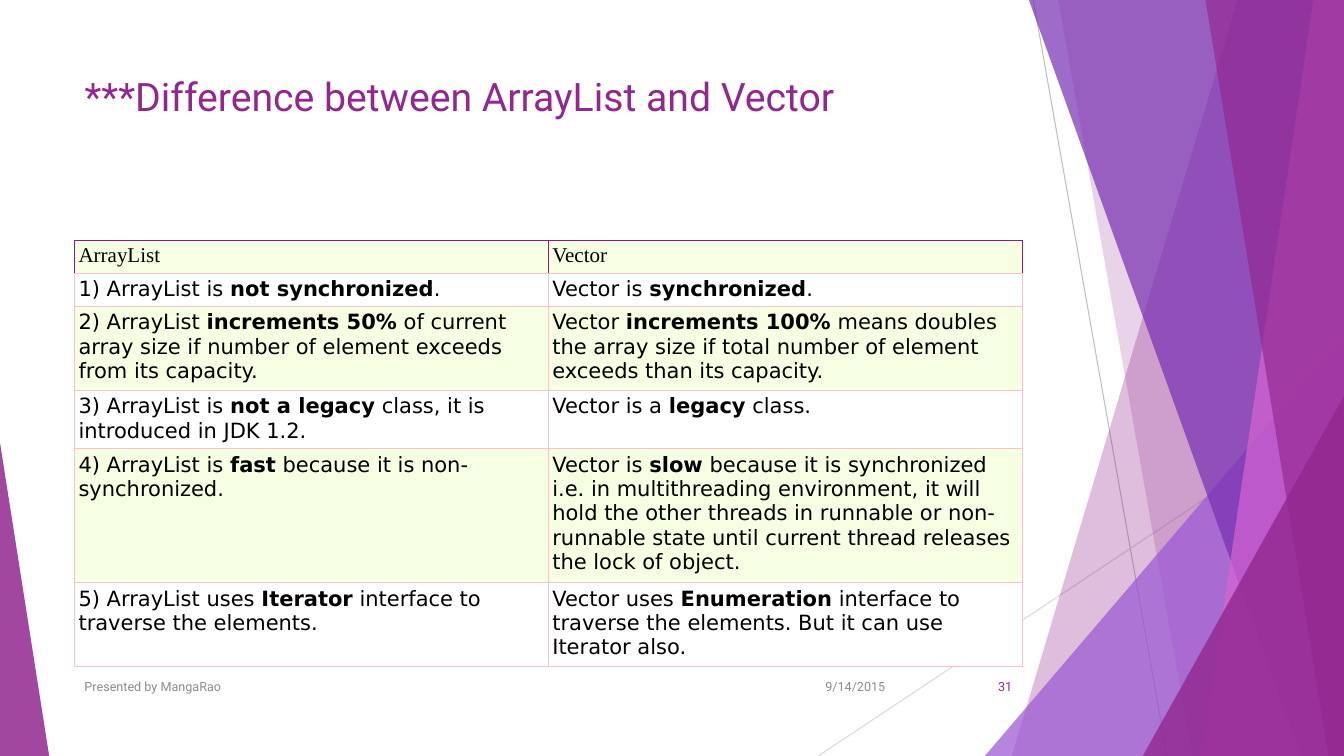
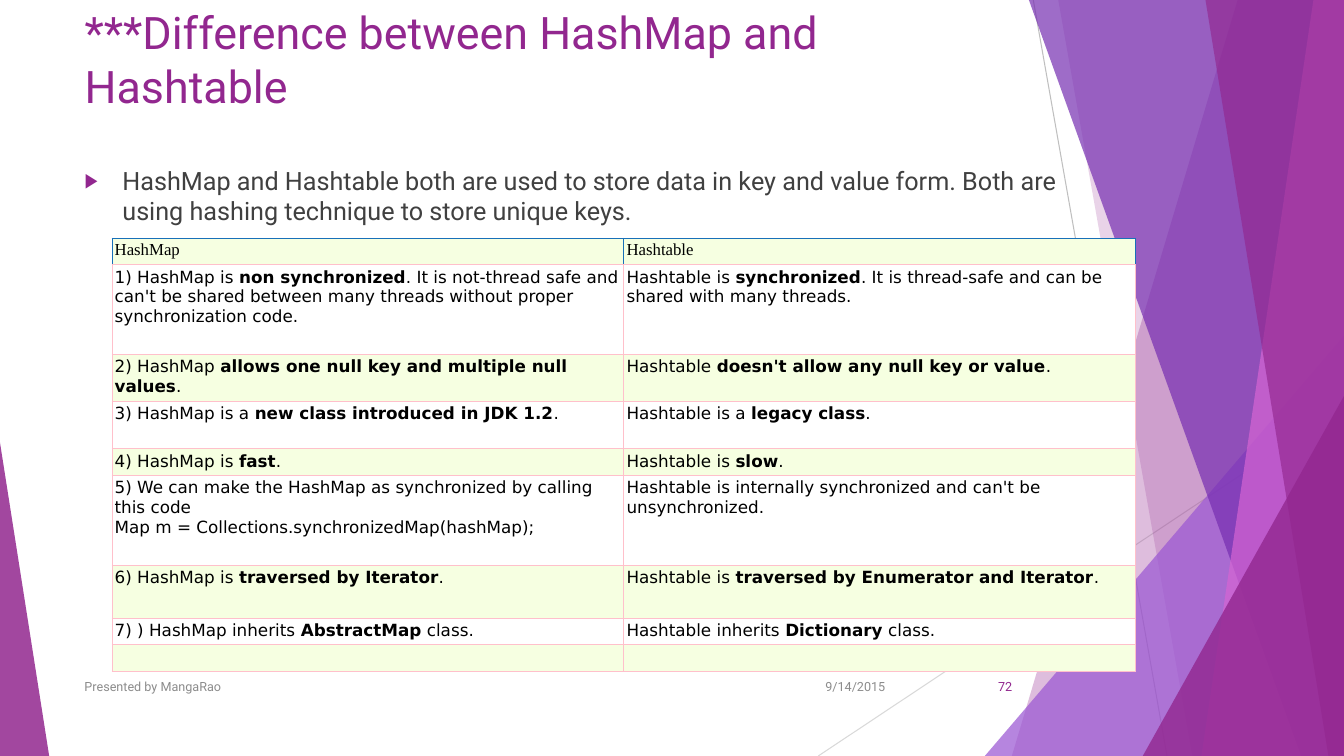
"""Build two comparison slides on Java collection classes."""
import lxml.etree
import pptx
import pptx.dml.color
import pptx.enum.shapes
import pptx.enum.text
import pptx.oxml.ns
import pptx.util

Cm = pptx.util.Cm
Pt = pptx.util.Pt
qn = pptx.oxml.ns.qn
ALIGN = pptx.enum.text.PP_ALIGN
ANCHOR = pptx.enum.text.MSO_ANCHOR

COLOURS = {
    "purple": "92278F", "violet": "9B57D3", "indigo": "762EB1", "pink": "D665D3",
    "grey": "BFBFBF", "pale grey": "D9D9D9", "footer": "8C8C8C", "body": "404040",
    "black": "000000", "white": "FFFFFF", "lime": "F6FFE1", "rose": "FFC0CB",
    "plum": "981681", "blue": "1870B9",
}
FONT, HEADER_FONT, CELL_FONT = "Roboto", "Times New Roman", "DejaVu Sans"
WIDTH, HEIGHT = 33.87, 19.05
LEFT = 1.88

LINES = [
    (26.04, 0, 29.41, HEIGHT, "grey"),
    (WIDTH, 10.24, 20.62, HEIGHT, "pale grey"),
]
BANDS = [
    ("band", (31.19, 25.5), "purple", 30),
    ("band", (26.67, 30.05), "purple", 20),
    ("triangle", (24.82, 8.46, 9.05, 1), "violet", 72),
    ("band", (25.93, 32.79), "indigo", 70),
    ("band", (33.1, 30.28), "pink", 70),
    ("band", (30.38, 33.48), "purple", 65),
    ("triangle", (28.8, 9.98, 5.07, 1), "purple", 80),
    ("triangle", (0, 11.15, 1.24, 0), "purple", 85),
]
FOOTERS = [
    ("9/14/2015", 20.02, 2.54, ALIGN.RIGHT, "footer"),
    ("Presented by MangaRao", LEFT, 17.5, ALIGN.LEFT, "footer"),
]
SLIDES = [
    {
        "title": "***Difference between ArrayList and Vector",
        "title size": 28, "title top": 1.7, "number": "31", "body": None,
        "table": {
            "left": LEFT, "top": 6.05, "column": 11.94, "size": 15,
            "inset": 0.1, "header line": "plum",
            "heights": [0.81, 0.81, 2.11, 1.45, 3.38, 2.11],
            "rows": [
                ("ArrayList", "Vector"),
                ("1) ArrayList is *not synchronized*.", "Vector is *synchronized*."),
                ("2) ArrayList *increments 50%* of current array size if number of "
                 "element exceeds from its capacity.",
                 "Vector *increments 100%* means doubles the array size if total "
                 "number of element exceeds than its capacity."),
                ("3) ArrayList is *not a legacy* class, it is introduced in JDK 1.2.",
                 "Vector is a *legacy* class."),
                ("4) ArrayList is *fast* because it is non-synchronized.",
                 "Vector is *slow* because it is synchronized i.e. in multithreading "
                 "environment, it will hold the other threads in runnable or "
                 "non-runnable state until current thread releases the lock of object."),
                ("5) ArrayList uses *Iterator* interface to traverse the elements.",
                 "Vector uses *Enumeration* interface to traverse the elements. "
                 "But it can use Iterator also."),
            ],
        },
    },
    {
        "title": "***Difference between HashMap and Hashtable",
        "title size": 32, "title top": 0, "number": "72",
        "body": "HashMap and Hashtable both are used to store data in key and value "
                "form. Both are using hashing technique to store unique keys.",
        "table": {
            "left": 2.82, "top": 6, "column": 12.9, "size": 12,
            "inset": 0.07, "header line": "blue",
            "heights": [0.67, 2.26, 1.19, 1.19, 0.67, 2.26, 1.34, 0.67, 0.67],
            "rows": [
                ("HashMap", "Hashtable"),
                ("1) HashMap is *non synchronized*. It is not-thread safe and can't be "
                 "shared between many threads without proper synchronization code.",
                 "Hashtable is *synchronized*. It is thread-safe and can be shared "
                 "with many threads."),
                ("2) HashMap *allows one null key and multiple null values*.",
                 "Hashtable *doesn't allow any null key or value*."),
                ("3) HashMap is a *new class introduced in JDK 1.2*.",
                 "Hashtable is a *legacy class*."),
                ("4) HashMap is *fast*.", "Hashtable is *slow*."),
                ("5) We can make the HashMap as synchronized by calling this code\n"
                 "Map m = Collections.synchronizedMap(hashMap);",
                 "Hashtable is internally synchronized and can't be unsynchronized."),
                ("6) HashMap is *traversed by Iterator*.",
                 "Hashtable is *traversed by Enumerator and Iterator*."),
                ("7) ) HashMap inherits *AbstractMap* class.",
                 "Hashtable inherits *Dictionary* class."),
                ("", ""),
            ],
        },
    },
]


def rgb(colour):
    return pptx.dml.color.RGBColor.from_string(COLOURS[colour])


def add_element(parent, tag, **attributes):
    return lxml.etree.SubElement(parent, qn(tag), attributes)


def add_run(paragraph, text, size, colour, font=FONT, bold=False):
    run = paragraph.add_run()
    run.text = text
    run.font.size, run.font.name, run.font.bold = Pt(size), font, bold
    run.font.color.rgb = rgb(colour)


def place(shape, left, top, width, height):
    shape.left, shape.top = Cm(left), Cm(top)
    shape.width, shape.height = Cm(width), Cm(height)


def add_backdrop(slide, master):
    group = slide.shapes.add_group_shape()
    for x1, y1, x2, y2, colour in LINES:
        line = group.shapes.add_connector(
            pptx.enum.shapes.MSO_CONNECTOR.STRAIGHT, Cm(x1), Cm(y1), Cm(x2), Cm(y2))
        line.line.color.rgb = rgb(colour)
        line.line.width = Pt(0.75)
        add_element(line.element.spPr, "a:effectLst")
    for kind, geometry, colour, opacity in BANDS:
        if kind == "band":
            top_x, bottom_x = geometry
            builder = group.shapes.build_freeform(Cm(top_x), 0)
            corners = [(WIDTH, 0), (WIDTH, HEIGHT), (bottom_x, HEIGHT)]
            builder.add_line_segments([(Cm(x), Cm(y)) for x, y in corners])
            shape = builder.convert_to_shape()
        else:
            left, top, width, apex = geometry
            shape = group.shapes.add_shape(
                pptx.enum.shapes.MSO_SHAPE.ISOSCELES_TRIANGLE,
                Cm(left), Cm(top), Cm(width), Cm(HEIGHT - top))
            shape.adjustments[0] = apex
        shape.shadow.inherit = False
        shape.fill.solid()
        shape.fill.fore_color.rgb = rgb(colour)
        shape.line.fill.background()
        fill_colour = shape.element.spPr.find(".//" + qn("a:srgbClr"))
        add_element(fill_colour, "a:alpha", val=str(opacity * 1000))
    master.shapes.element.insert(2, group.element)


def fill_placeholder(shape, text, size, colour):
    frame = shape.text_frame
    frame.auto_size = pptx.enum.text.MSO_AUTO_SIZE.NONE
    frame.vertical_anchor = ANCHOR.TOP
    paragraph = frame.paragraphs[0]
    paragraph.alignment = ALIGN.LEFT
    add_run(paragraph, text, size, colour)
    return paragraph


def add_body(shape, text):
    place(shape, LEFT, 4.04, 26.21, 12.73)
    paragraph = fill_placeholder(shape, text, 18, "body")
    paragraph.space_before = Pt(10)
    properties = paragraph._p.get_or_add_pPr()
    properties.set("marL", str(Cm(0.95)))
    properties.set("indent", str(-Cm(0.95)))
    bullet_colour = add_element(properties, "a:buClr")
    add_element(bullet_colour, "a:srgbClr", val=COLOURS["purple"])
    add_element(properties, "a:buSzPct", val="80000")
    add_element(properties, "a:buChar", char="▶")


def add_footers(slide, number):
    page = (number, 23.85, 1.91, ALIGN.RIGHT, "purple")
    for text, left, width, alignment, colour in FOOTERS + [page]:
        box = slide.shapes.add_textbox(Cm(left), Cm(16.79), Cm(width), Cm(1.02))
        box.text_frame.word_wrap = True
        box.text_frame.vertical_anchor = ANCHOR.MIDDLE
        paragraph = box.text_frame.paragraphs[0]
        paragraph.alignment = alignment
        add_run(paragraph, text, 9, colour)


def set_borders(cell, side_colour):
    properties = cell._tc.get_or_add_tcPr()
    for side in "LRTB":
        border = add_element(properties, "a:ln" + side, w=str(Pt(0.6)))
        colour = "rose" if side == "B" else side_colour
        fill = add_element(border, "a:solidFill")
        add_element(fill, "a:srgbClr", val=COLOURS[colour])


def write_cell(cell, text, size, font):
    frame = cell.text_frame
    for index, line in enumerate(text.split("\n")):
        paragraph = frame.add_paragraph() if index else frame.paragraphs[0]
        for position, part in enumerate(line.split("*")):
            if part:
                add_run(paragraph, part, size, "black", font, position % 2 == 1)
        add_element(paragraph._p, "a:endParaRPr", sz=str(size * 100))


def add_comparison(slide, data):
    rows, heights = data["rows"], data["heights"]
    table = slide.shapes.add_table(
        len(rows), 2, Cm(data["left"]), Cm(data["top"]),
        Cm(2 * data["column"]), Cm(sum(heights))).table
    table.first_row = table.horz_banding = False
    for column in table.columns:
        column.width = Cm(data["column"])
    for index, (texts, height) in enumerate(zip(rows, heights)):
        table.rows[index].height = Cm(height)
        for cell, text in zip(table.rows[index].cells, texts):
            set_borders(cell, "rose" if index else data["header line"])
            cell.fill.solid()
            cell.fill.fore_color.rgb = rgb("white" if index % 2 else "lime")
            cell.margin_left = cell.margin_right = Cm(data["inset"])
            cell.margin_top = cell.margin_bottom = Cm(data["inset"])
            write_cell(cell, text, data["size"], CELL_FONT if index else HEADER_FONT)


def main():
    presentation = pptx.Presentation()
    presentation.slide_width, presentation.slide_height = Cm(WIDTH), Cm(HEIGHT)
    for index, content in enumerate(SLIDES):
        layout = presentation.slide_layouts[1 if content["body"] else 5]
        slide = presentation.slides.add_slide(layout)
        if index == 0:
            add_backdrop(slide, presentation.slide_master)
        title = slide.shapes.title
        place(title, LEFT, content["title top"], 23.88, 3.66)
        fill_placeholder(title, content["title"], content["title size"], "purple")
        if content["body"]:
            add_body(slide.placeholders[1], content["body"])
        add_footers(slide, content["number"])
        add_comparison(slide, content["table"])
    presentation.save("out.pptx")


if __name__ == "__main__":
    main()
